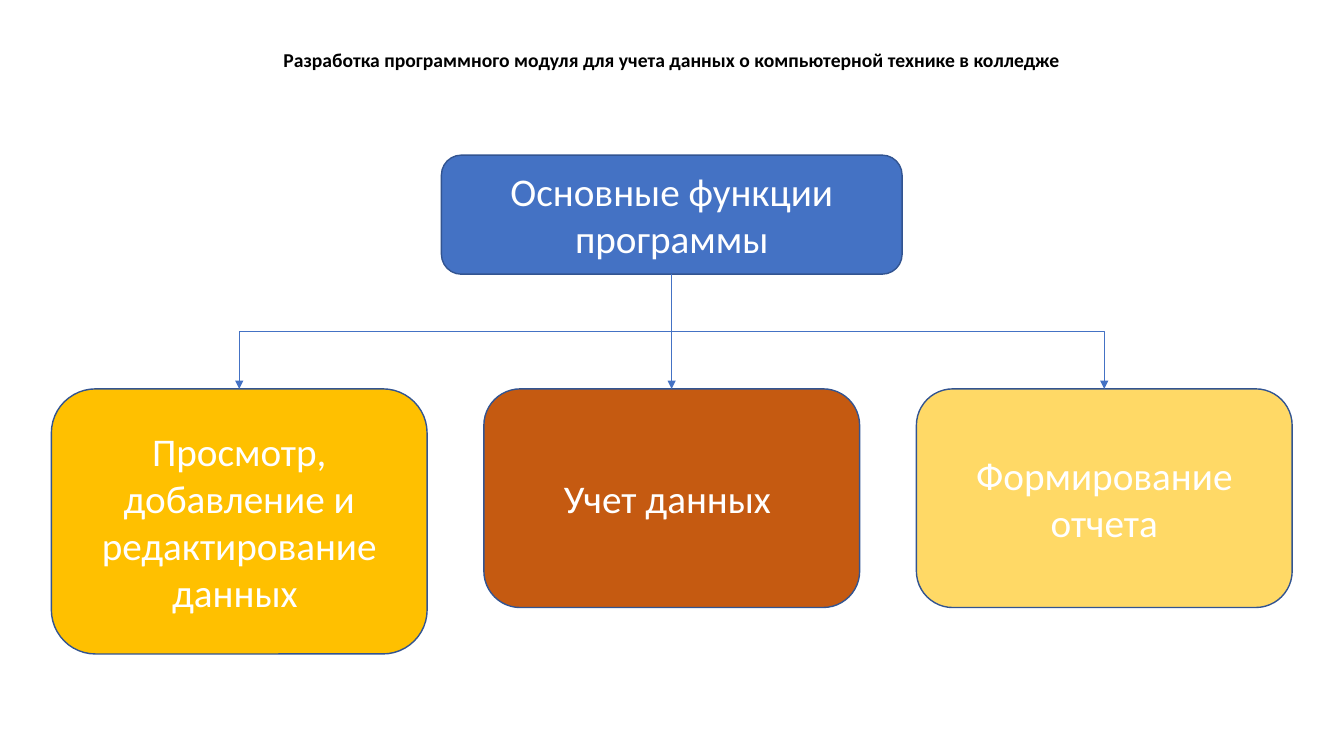
from dataclasses import dataclass

from lxml.etree import SubElement
from pptx import Presentation
from pptx.dml.color import RGBColor
from pptx.enum.shapes import MSO_CONNECTOR, MSO_SHAPE
from pptx.enum.text import MSO_ANCHOR, PP_ALIGN
from pptx.oxml.ns import qn
from pptx.util import Cm, Pt

TITLE = "Разработка программного модуля для учета данных о компьютерной технике в колледже"
ROOT = "Основные функции программы"
# Text, fill, height in cm
FUNCTIONS = [
    ("Просмотр, добавление и редактирование данных ", "FFC000", 6.68),
    ("Учет данных ", "C55A11", 5.51),
    ("Формирование отчета", "FFD966", 5.51),
]


@dataclass(frozen=True)
class Theme:
    font: str = "Calibri"
    title_size: int = 14
    box_size: int = 28
    title_color: str = "000000"
    box_text: str = "FFFFFF"
    root_fill: str = "4472C4"
    outline: str = "325491"
    arrow: str = "4472C4"
    outline_width: float = 1
    arrow_width: float = 0.5


THEME = Theme()
PAGE_WIDTH, PAGE_HEIGHT = Cm(33.87), Cm(19.05)
CENTER = Cm(16.93)
TITLE_TOP, TITLE_WIDTH, TITLE_HEIGHT = Cm(0.76), Cm(22.86), Cm(1.55)
ROOT_TOP, ROOT_WIDTH, ROOT_HEIGHT = Cm(3.91), Cm(11.61), Cm(3)
ROW_TOP, ROW_WIDTH, ROW_PITCH = Cm(9.8), Cm(9.47), Cm(10.9)
BOTTOM_SITE, TOP_SITE = 2, 0


def write(shape, text, size, color, bold=False):
    frame = shape.text_frame
    frame.word_wrap = True
    frame.vertical_anchor = MSO_ANCHOR.MIDDLE
    para = frame.paragraphs[0]
    para.text = text
    para.alignment = PP_ALIGN.CENTER
    para.font.name = THEME.font
    para.font.size = Pt(size)
    para.font.bold = bold
    para.font.color.rgb = RGBColor.from_string(color)
    return para


def add_title(page):
    box = page.shapes.add_textbox(
        CENTER - TITLE_WIDTH // 2, TITLE_TOP, TITLE_WIDTH, TITLE_HEIGHT)
    para = write(box, TITLE, THEME.title_size, THEME.title_color, bold=True)
    para.line_spacing = 0.9


def add_box(page, text, fill, center, top, width, height):
    box = page.shapes.add_shape(
        MSO_SHAPE.ROUNDED_RECTANGLE, center - width // 2, top, width, height)
    box.shadow.inherit = False
    box.fill.solid()
    box.fill.fore_color.rgb = RGBColor.from_string(fill)
    box.line.color.rgb = RGBColor.from_string(THEME.outline)
    box.line.width = Pt(THEME.outline_width)
    write(box, text, THEME.box_size, THEME.box_text)
    return box


def add_arrow(page, parent, child):
    """Join two boxes by an elbow that leaves downwards, turned a quarter."""
    arrow = page.shapes.add_connector(MSO_CONNECTOR.ELBOW, 0, 0, 0, 0)
    arrow.begin_connect(parent, BOTTOM_SITE)
    arrow.end_connect(child, TOP_SITE)
    goes_left = arrow.end_x < arrow.begin_x
    middle_x = (arrow.begin_x + arrow.end_x) // 2
    middle_y = (arrow.begin_y + arrow.end_y) // 2
    arrow.width, arrow.height = arrow.height, arrow.width
    arrow.left = middle_x - arrow.width // 2
    arrow.top = middle_y - arrow.height // 2

    properties = arrow._element.spPr
    transform = properties.find(qn("a:xfrm"))
    transform.set("rot", str((90 if goes_left else 270) * 60000))
    transform.set("flipH", "0" if goes_left else "1")

    arrow.line.color.rgb = RGBColor.from_string(THEME.arrow)
    arrow.line.width = Pt(THEME.arrow_width)
    SubElement(properties.find(qn("a:ln")), qn("a:tailEnd"), type="triangle")
    SubElement(properties, qn("a:effectLst"))


def main():
    deck = Presentation()
    deck.slide_width, deck.slide_height = PAGE_WIDTH, PAGE_HEIGHT
    page = deck.slides.add_slide(deck.slide_layouts[6])
    add_title(page)
    root = add_box(page, ROOT, THEME.root_fill, CENTER,
                   ROOT_TOP, ROOT_WIDTH, ROOT_HEIGHT)
    for index, (text, fill, height) in enumerate(FUNCTIONS):
        center = CENTER + (index - len(FUNCTIONS) // 2) * ROW_PITCH
        box = add_box(page, text, fill, center, ROW_TOP, ROW_WIDTH, Cm(height))
        add_arrow(page, root, box)
    deck.save("out.pptx")


if __name__ == "__main__":
    main()
